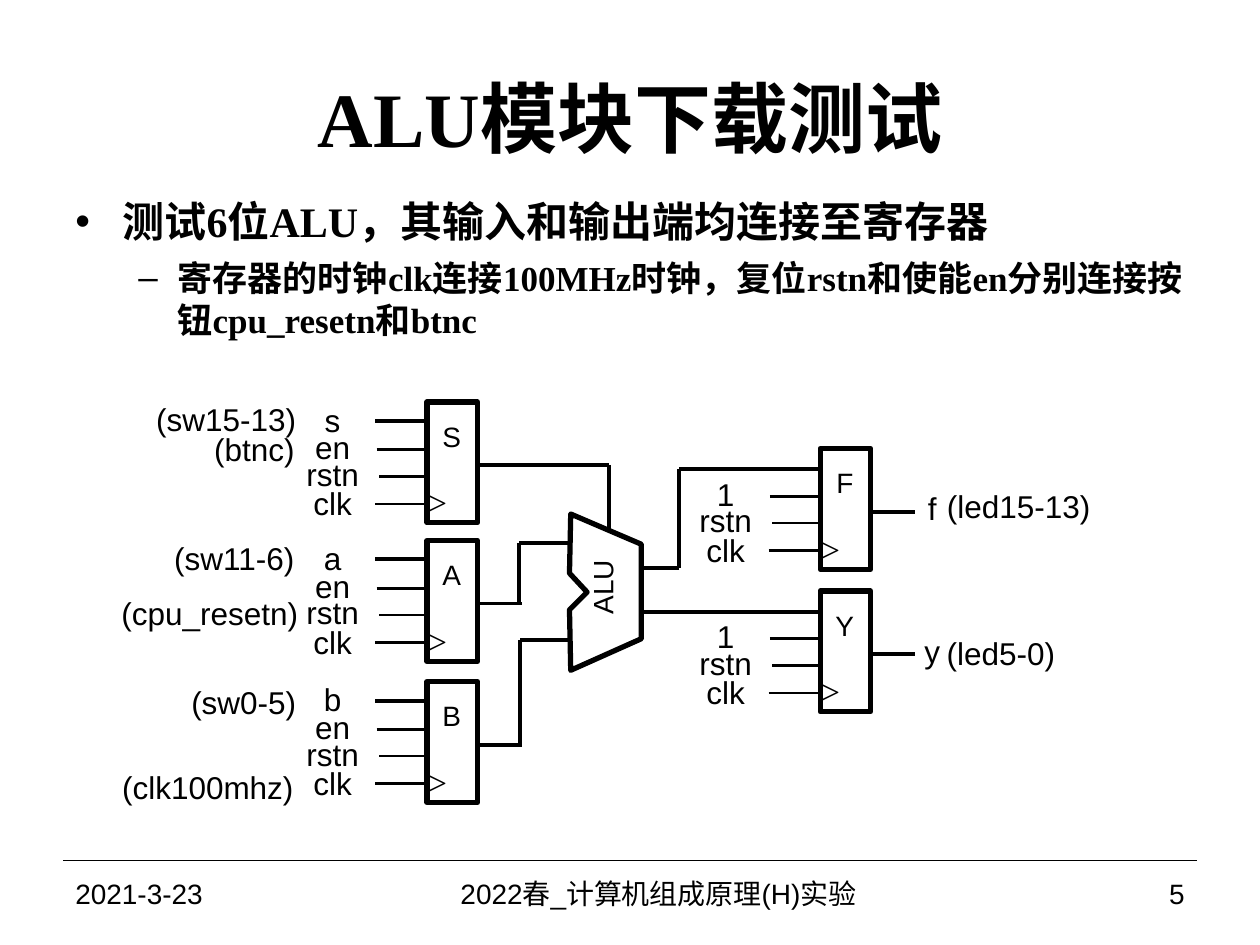
from pptx import Presentation
from pptx.dml.color import RGBColor
from pptx.enum.shapes import MSO_CONNECTOR as CONN, MSO_SHAPE as SHAPE
from pptx.enum.text import MSO_ANCHOR as ANCHOR, PP_ALIGN as ALIGN
from pptx.oxml.ns import qn
from pptx.util import Emu, Inches, Pt
from lxml.etree import SubElement

BLACK = RGBColor(0x00, 0x00, 0x00)
SANS, SERIF = "Arial", "Times New Roman"
COLS, ROWS = 100, 75
CELL = Inches(0.1)  # side of one grid cell
THIN, MEDIUM, WIRE, BORDER = 0.75, 1.5, 2.25, 3


def cells(*values):
    return [Emu(round(v * CELL)) for v in values]


class Board:
    """Draws on one slide; all lengths are grid cells."""

    def __init__(self, slide):
        self.slide = slide
        self.shapes = slide.shapes

    def style(self, p, size, font=SANS, bold=False):
        for r in p.runs:
            r.font.size, r.font.name, r.font.bold = Pt(size), font, bold
            r.font.color.rgb = BLACK

    def title(self, text, *box):
        sp = self.shapes.title
        sp.left, sp.top, sp.width, sp.height = cells(*box)
        tf = sp.text_frame
        tf.text, tf.vertical_anchor = text, ANCHOR.MIDDLE
        tf.paragraphs[0].alignment = ALIGN.CENTER
        self.style(tf.paragraphs[0], 44, SERIF, True)

    def bullets(self, items, *box):
        tf = self.shapes.add_textbox(*cells(*box)).text_frame
        tf.word_wrap = True
        for i, (text, level, size, mark, left, hang) in enumerate(items):
            p = tf.add_paragraph() if i else tf.paragraphs[0]
            p.text, p.level, p.space_after = text, level, Pt(6)
            self.style(p, size, SERIF, True)
            margin, indent = cells(left, hang)
            ppr = p._p.get_or_add_pPr()
            ppr.set("marL", str(margin))
            ppr.set("indent", str(-indent))
            SubElement(ppr, qn("a:buFont"), typeface=SANS)
            SubElement(ppr, qn("a:buChar"), char=mark)

    def text(self, text, *box, size=18, font=SANS, align=ALIGN.CENTER,
             inset=0, vert=None, wrap=False):
        tf = self.shapes.add_textbox(*cells(*box)).text_frame
        tf.text, tf.word_wrap, tf.vertical_anchor = text, wrap, ANCHOR.MIDDLE
        tf.margin_left, tf.margin_right = cells(inset, inset)
        tf.margin_top = tf.margin_bottom = 0
        if vert:
            tf._txBody.bodyPr.set("vert", vert)
        tf.paragraphs[0].alignment = align
        self.style(tf.paragraphs[0], size, font)

    def label(self, text, cx, cy, width=5, height=3.4, **style):
        self.text(text, cx - width / 2, cy - height / 2, width, height, **style)

    def outline(self, sp):
        sp.shadow.inherit = False
        sp.fill.background()
        sp.line.color.rgb, sp.line.width = BLACK, Pt(BORDER)

    def wire(self, *points, weight=WIRE):
        for start, end in zip(points, points[1:]):
            line = self.shapes.add_connector(CONN.STRAIGHT, *cells(*start, *end))
            line.line.color.rgb, line.line.width = BLACK, Pt(weight)
            SubElement(line._element.spPr, qn("a:effectLst"))

    def polygon(self, points):
        # Whole hundredths of an inch keep the corners exact
        pts = [(round(x * 10), round(y * 10)) for x, y in points]
        fb = self.shapes.build_freeform(*pts[0], scale=CELL / 10)
        fb.add_line_segments(pts[1:], close=True)
        self.outline(fb.convert_to_shape())

    def register(self, name, x, y, pins):
        self.outline(self.shapes.add_shape(SHAPE.RECTANGLE, *cells(x, y, 4, 9.6)))
        for pin, (dy, label_dy, start, weight) in zip(pins, PIN_ROWS):
            if pin:
                self.wire((x - start, y + dy), (x, y + dy), weight=weight)
                self.label(pin, x - 7.5, y + label_dy)
        self.label(name, x + 1.95, y + 2.7, 2, 2.7, size=16)
        self.label(">", x + 0.8, y + 7.9, 1.6, size=20, font=SERIF)
        self.wire((x + 4, y + 5), (x + 7.5, y + 5))


# Pin offset, label offset, lead length and weight, top to bottom
PIN_ROWS = [(1.5, 1.4, 4.1, WIRE), (3.8, 3.6, 4, MEDIUM),
            (5.9, 5.7, 3.8, MEDIUM), (8.1, 8.05, 4.1, MEDIUM)]

prs = Presentation()
prs.slide_width, prs.slide_height = cells(COLS, ROWS)
board = Board(prs.slides.add_slide(prs.slide_layouts[5]))

# Title and bullets
board.title("ALU模块下载测试", 5, 3, 90, 12.5)
board.bullets([
    ("测试6位ALU，其输入和输出端均连接至寄存器", 0, 24, "•", 3.75, 3.75),
    ("寄存器的时钟clk连接100MHz时钟，复位rstn和使能en分别连接按钮cpu_resetn和btnc",
     1, 20, "–", 8.12, 3.12),
], 5, 15.05, 90, 14.6)

# Input registers
for name, pin, y in [("S", "s", 31.9), ("A", "a", 42.9), ("B", "b", 54.1)]:
    board.register(name, 33.9, y, [pin, "en", "rstn", "clk"])

# Output registers; the first pin is fed by the ALU
for name, out, y in [("F", "f", 35.6), ("Y", "y", 46.9)]:
    board.register(name, 65.1, y, [None, "1", "rstn", "clk"])
    board.label(out, 74, y + 4.75)

# ALU
board.polygon([(45.3, 40.8), (50.9, 43.2), (50.9, 50.7), (45.3, 53.2),
               (45.2, 48.4), (46.6, 47), (45.2, 45.5)])
board.label("ALU", 47.8, 46.6, 2.8, 5.4, size=16, vert="vert270")

# Wires to and from the ALU
board.wire((41.3, 36.9), (48.3, 36.9), (48.3, 42))
board.wire((41.2, 47.9), (41.2, 43.1), (45.3, 43.1))
board.wire((41.3, 59.1), (41.3, 50.8), (45.3, 50.8))
board.wire((50.9, 45.1), (53.9, 45.1), (53.9, 37.2), (65.1, 37.2))
board.wire((50.9, 48.6), (53.9, 48.6), (65.1, 48.6))

# Board pins: left, top, width
for pin, left, top, width in [
        ("(sw15-13)", 12.35, 31.75, 11.2), ("(btnc)", 16.95, 34.1, 6.5),
        ("(sw11-6)", 13.8, 42.8, 9.6), ("(cpu_resetn)", 9.55, 47.15, 14.2),
        ("(sw0-5)", 15.15, 54.2, 8.4), ("(clk100mhz)", 9.65, 60.95, 13.7),
        ("(led15-13)", 75.1, 38.65, 11.5), ("(led5-0)", 75.1, 50.3, 8.7)]:
    board.text(pin, left, top, width, 3)

# Footer
board.wire((5, 68.3), (95, 68.3), weight=THIN)
for text, left, width, align in [
        ("2021-3-23", 5, 23.3, ALIGN.LEFT),
        ("2022春_计算机组成原理(H)实验", 28.3, 47.9, ALIGN.CENTER),
        ("5", 76.7, 18.3, ALIGN.RIGHT)]:
    board.text(text, left, 68.3, width, 5.2, size=16, align=align, inset=1,
               wrap=True)

prs.save("out.pptx")
